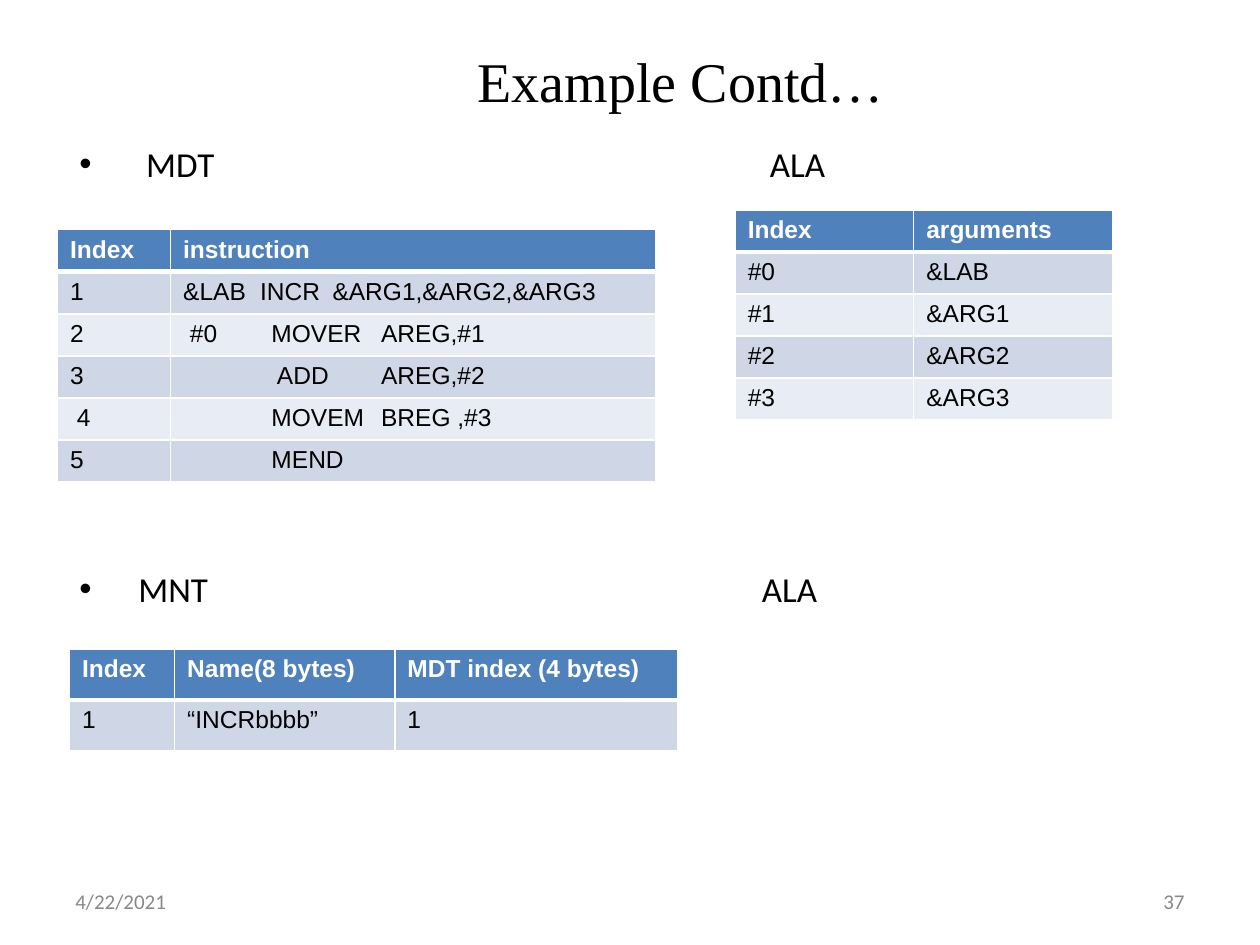
"""Build the macro table example slide."""
from dataclasses import dataclass

from lxml import etree
from pptx import Presentation, util as u
from pptx.dml.color import RGBColor
from pptx.enum import text
from pptx.oxml import ns
from pptx.slide import Slide

BLACK = RGBColor(0x00, 0x00, 0x00)
WHITE = RGBColor(0xFF, 0xFF, 0xFF)
GREY = RGBColor(0x88, 0x88, 0x88)
BLUE = RGBColor(0x4F, 0x81, 0xBD)
BANDS = (RGBColor(0xCF, 0xD7, 0xE7), RGBColor(0xE8, 0xEC, 0xF4))


def add_node(parent, tag, **attributes):
    return etree.SubElement(parent, ns.qn(tag), attributes)


@dataclass
class SlideBuilder:
    slide: Slide
    heading_font: str = "Times New Roman"
    body_font: str = "Calibri"
    table_font: str = "Arial"

    def add_span(self, para, words, font, size, color, bold=False):
        span = para.add_run()
        span.text = words
        span.font.name = font
        span.font.size = u.Pt(size)
        span.font.color.rgb = color
        span.font.bold = bold

    def text_box(self, left, top, width, height, anchor=text.MSO_ANCHOR.MIDDLE):
        box = self.slide.shapes.add_textbox(u.Cm(left), u.Cm(top), u.Cm(width), u.Cm(height))
        box.text_frame.word_wrap = True
        box.text_frame.vertical_anchor = anchor
        return box.text_frame

    def title(self, words, *place):
        para = self.text_box(*place).paragraphs[0]
        para.alignment = text.PP_ALIGN.CENTER
        self.add_span(para, words, self.heading_font, 32, BLACK)

    def footer(self, words, align, *place):
        para = self.text_box(*place).paragraphs[0]
        para.alignment = align
        self.add_span(para, words, self.body_font, 12, GREY)

    def labels(self, lines, gap, bulleted, *place):
        frame = self.text_box(*place, anchor=text.MSO_ANCHOR.TOP)
        for number, words in enumerate(lines):
            para = frame.add_paragraph() if number else frame.paragraphs[0]
            para.space_before = u.Pt(gap if number else 0)
            if bulleted:
                props = para._p.get_or_add_pPr()
                props.set("marL", str(u.Cm(1.27)))
                props.set("indent", str(u.Cm(-1.19)))
                add_node(props, "a:buFont", typeface="Arial")
                add_node(props, "a:buChar", char="•")
            self.add_span(para, words, self.body_font, 20, BLACK)

    def borders(self, cell, row):
        props = cell._tc.get_or_add_tcPr()
        widths = {"L": 1, "R": 1, "T": 3 if row == 1 else 1, "B": 1 if row else 3}
        for side, width in widths.items():
            line = add_node(props, f"a:ln{side}", w=str(u.Pt(width)))
            add_node(add_node(line, "a:solidFill"), "a:srgbClr", val=str(WHITE))

    def tab_stops(self, para, stops):
        tabs = add_node(para._p.get_or_add_pPr(), "a:tabLst")
        for stop in stops:
            add_node(tabs, "a:tab", pos=str(u.Cm(stop)), algn="l")

    def table(self, left, top, widths, row_height, rows, stops=None):
        frame = self.slide.shapes.add_table(
            len(rows), len(widths), u.Cm(left), u.Cm(top),
            u.Cm(sum(widths)), u.Cm(row_height * len(rows)))
        grid = frame.table
        grid.horz_banding = False
        for column, width in zip(grid.columns, widths):
            column.width = u.Cm(width)
        for row, entries in enumerate(rows):
            grid.rows[row].height = u.Cm(row_height)
            for column, words in enumerate(entries):
                cell = grid.cell(row, column)
                self.borders(cell, row)
                cell.fill.solid()
                cell.fill.fore_color.rgb = BANDS[(row - 1) % 2] if row else BLUE
                para = cell.text_frame.paragraphs[0]
                if "\t" in words:
                    self.tab_stops(para, stops[row])
                self.add_span(para, words, self.table_font, 14, BLACK if row else WHITE, row == 0)


def main():
    deck = Presentation()
    deck.slide_width, deck.slide_height = u.Cm(25.4), u.Cm(19.05)
    page = SlideBuilder(deck.slides.add_slide(deck.slide_layouts[6]))

    page.title("Example Contd…", 3.33, 0.76, 20.8, 1.7)
    label_gap = 219
    page.labels([" MDT", "MNT"], label_gap, True, 1.27, 2.74, 10, 11)
    page.labels([" ALA", "ALA"], label_gap, False, 15.11, 2.74, 5, 11)
    page.footer("4/22/2021", text.PP_ALIGN.LEFT, 1.27, 17.65, 5.92, 1.02)
    page.footer("37", text.PP_ALIGN.RIGHT, 18.21, 17.65, 5.92, 1.02)

    code_stops = (1.78, 3.99)
    mdt_stops = {1: (1.55, 3.01), **dict.fromkeys(range(2, 6), code_stops)}
    page.table(1.16, 4.63, (2.28, 9.78), 0.83, [
        ("Index", "instruction"),
        ("1", "&LAB\tINCR\t&ARG1,&ARG2,&ARG3"),
        ("2", " #0\tMOVER\tAREG,#1"),
        ("3", "\t ADD\tAREG,#2"),
        (" 4", "\tMOVEM\tBREG ,#3"),
        ("5", "\tMEND"),
    ], mdt_stops)
    page.table(1.4, 13.08, (2.12, 4.44, 5.71), 1.03, [
        ("Index", "Name(8 bytes)", "MDT index (4 bytes)"),
        ("1", "“INCRbbbb”", "1"),
    ])
    page.table(14.82, 4.23, (3.6, 4.02), 0.81, [
        ("Index", "arguments"),
        ("#0", "&LAB"),
        *((f"#{number}", f"&ARG{number}") for number in range(1, 4)),
    ])
    deck.save("out.pptx")


if __name__ == "__main__":
    main()
